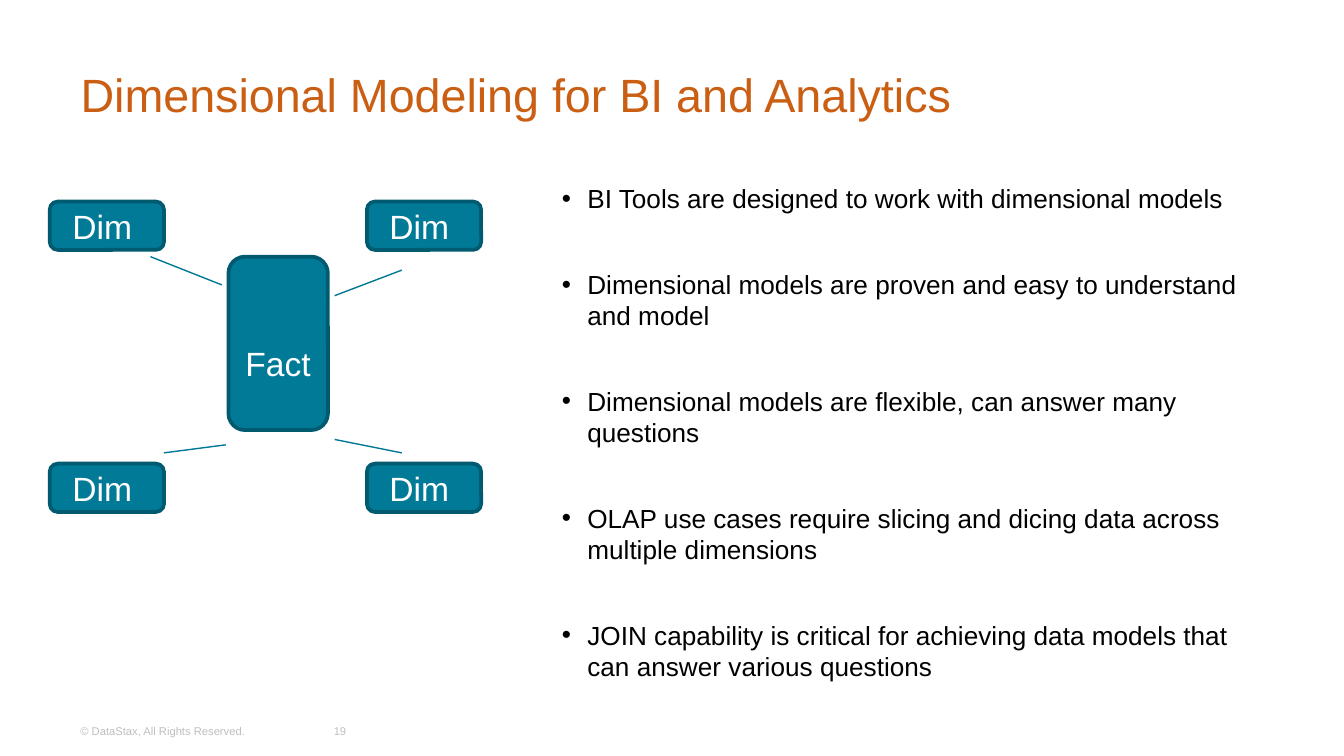
from lxml import etree
from pptx import Presentation
from pptx.dml.color import RGBColor
from pptx.enum.shapes import MSO_CONNECTOR, MSO_SHAPE
from pptx.enum.text import MSO_ANCHOR, MSO_AUTO_SIZE, PP_ALIGN
from pptx.oxml.ns import qn
from pptx.util import Inches, Pt

ORANGE = RGBColor(0xCA, 0x5F, 0x14)
BLACK = RGBColor(0x00, 0x00, 0x00)
WHITE = RGBColor(0xFF, 0xFF, 0xFF)
GRAY = RGBColor(0xBF, 0xBF, 0xBF)
TEAL = RGBColor(0x00, 0x7A, 0x97)
DARK_TEAL = RGBColor(0x00, 0x5A, 0x70)
LINE_TEAL = RGBColor(0x00, 0x77, 0x94)
LEFT, CENTER = PP_ALIGN.LEFT, PP_ALIGN.CENTER
TOP, MIDDLE = MSO_ANCHOR.TOP, MSO_ANCHOR.MIDDLE
NO_AUTOFIT = MSO_AUTO_SIZE.NONE
ROUNDED = MSO_SHAPE.ROUNDED_RECTANGLE
STRAIGHT = MSO_CONNECTOR.STRAIGHT


def add_text(paragraph, text, size, color, alignment=LEFT):
    paragraph.alignment = alignment
    run = paragraph.add_run()
    run.text = text
    run.font.name = "Arial"
    run.font.size = Pt(size)
    run.font.color.rgb = color


def add_node(text, left, top, width, height, top_inset=0.04):
    shape = slide.shapes.add_shape(
        ROUNDED, Inches(left), Inches(top), Inches(width), Inches(height))
    shape.shadow.inherit = False
    shape.fill.solid()
    shape.fill.fore_color.rgb = TEAL
    shape.line.color.rgb = DARK_TEAL
    shape.line.width = Pt(2)
    frame = shape.text_frame
    frame.vertical_anchor = MIDDLE
    frame.margin_left = frame.margin_right = Inches(0.07)
    frame.margin_top, frame.margin_bottom = Inches(top_inset), Inches(0.04)
    add_text(frame.paragraphs[0], text, 18, WHITE, CENTER)


# A 16:9 slide
presentation = Presentation()
presentation.slide_width = Inches(10)
presentation.slide_height = Inches(10 * 9 / 16)
slide = presentation.slides.add_slide(presentation.slide_layouts[1])

# Title
title = slide.shapes.title
title.left, title.top = Inches(0.5), Inches(0.23)
title.width, title.height = Inches(9), Inches(0.94)
title.text_frame.auto_size = NO_AUTOFIT
title.text_frame.vertical_anchor = MIDDLE
add_text(title.text_frame.paragraphs[0],
         "Dimensional Modeling for BI and Analytics", 25, ORANGE)

# Bullet list
body = slide.placeholders[1]
body.left, body.top = Inches(4.08), Inches(1.31)
body.width, body.height = Inches(5.42), Inches(4)
body.text_frame.auto_size = NO_AUTOFIT
body.text_frame.vertical_anchor = TOP
points = [
    "BI Tools are designed to work with dimensional models",
    "Dimensional models are proven and easy to understand and model",
    "Dimensional models are flexible, can answer many questions",
    "OLAP use cases require slicing and dicing data across multiple dimensions",
    "JOIN capability is critical for achieving data models that can answer "
    "various questions",
]
for index, point in enumerate(points):
    frame = body.text_frame
    paragraph = frame.add_paragraph() if index else frame.paragraphs[0]
    properties = paragraph._p.get_or_add_pPr()
    properties.set("marL", str(Inches(0.19)))
    properties.set("indent", str(-Inches(0.19)))
    etree.SubElement(properties, qn("a:buFont")).set("typeface", "Arial")
    etree.SubElement(properties, qn("a:buChar")).set("char", "•")
    paragraph.space_before = Pt(29 if index else 0)
    add_text(paragraph, point, 14, BLACK)

# Footer and slide number
for text, left, width, alignment in [
    ("© DataStax, All Rights Reserved.", 0.5, 1.74, LEFT),
    ("19", 2.31, 0.44, CENTER),
]:
    box = slide.shapes.add_textbox(
        Inches(left), Inches(5.29), Inches(width), Inches(0.3))
    box.text_frame.word_wrap = True
    box.text_frame.vertical_anchor = MIDDLE
    add_text(box.text_frame.paragraphs[0], text, 6, GRAY, alignment)

# Star schema: fact table, with a dimension at each corner
add_node("Fact", 1.7, 1.91, 0.74, 1.29, top_inset=0.33)
for top in (1.5, 3.45):
    for left in (0.37, 2.73):
        add_node("Dim ", left, top, 0.85, 0.36)

# Lines between the dimensions and the fact table
for start_x, start_y, end_x, end_y in [
    (1.12, 1.91, 1.65, 2.12),
    (2.49, 2.2, 2.99, 2.01),
    (1.22, 3.37, 1.68, 3.31),
    (2.49, 3.27, 2.99, 3.37),
]:
    connector = slide.shapes.add_connector(
        STRAIGHT, Inches(start_x), Inches(start_y), Inches(end_x), Inches(end_y))
    connector.line.color.rgb = LINE_TEAL
    connector.line.width = Pt(0.75)
    etree.SubElement(connector._element.spPr, qn("a:effectLst"))

presentation.save("out.pptx")
